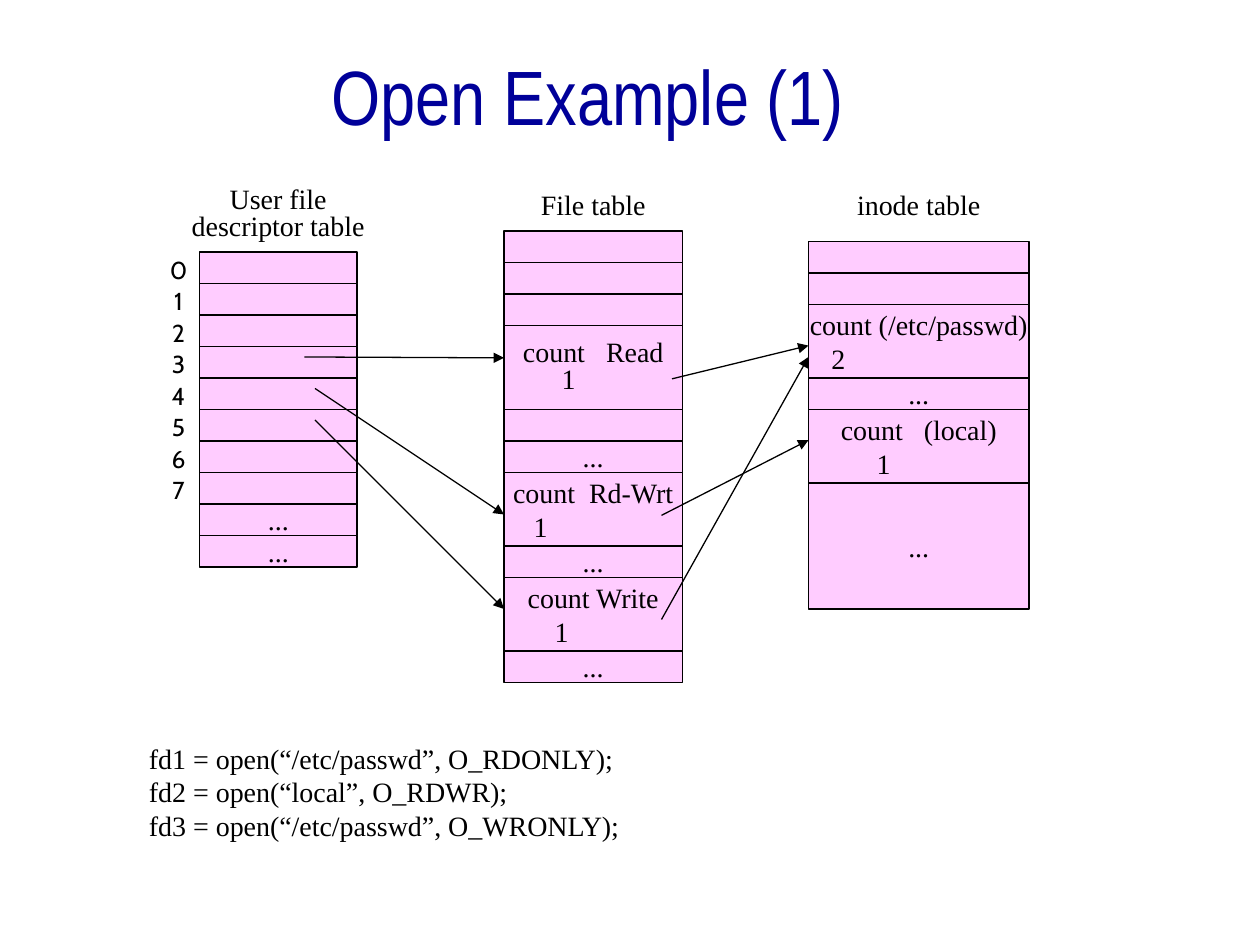
from lxml.etree import SubElement
from pptx import Presentation
from pptx.dml.color import RGBColor
from pptx.enum.shapes import MSO_CONNECTOR, MSO_SHAPE
from pptx.enum.text import MSO_ANCHOR, PP_ALIGN
from pptx.oxml.ns import qn
from pptx.util import Pt

ROW = 18
SERIF = "Times New Roman"

# A line of text is (words, indent, extra gap between its two words);
# indent None means centred.
DOTS = [("...", None, 0)]
TABLES = [
    {"head": ["User file", "descriptor table"], "left": 114, "top": 144,
     "width": 90, "head_size": (114, 30),
     "rows": [(ROW, [])] * 8 + [(ROW, DOTS)] * 2},
    {"head": ["File table"], "left": 288, "top": 132,
     "width": 102, "head_size": (90, 18),
     "rows": [(ROW, [])] * 3 + [
         (48, [("count Read", None, 8), ("1", 33, 0)]),
         (ROW, []),
         (ROW, DOTS),
         (42, [("count Rd-Wrt", None, 4), ("1", 17, 0)]),
         (ROW, DOTS),
         (42, [("count Write", None, 0), ("1", 29, 0)]),
         (ROW, DOTS)]},
    {"head": ["inode table"], "left": 462, "top": 138,
     "width": 126, "head_size": (90, 18),
     "rows": [(ROW, [])] * 2 + [
         (42, [("count (/etc/passwd)", None, 0), ("2", 13, 0)]),
         (ROW, DOTS),
         (42, [("count (local)", None, 8), ("1", 39, 0)]),
         (72, DOTS)]},
]
ARROWS = [
    ((174, 204), (288, 204.5)),
    ((180, 222), (288, 294)),
    ((180, 240), (288, 348)),
    ((384, 216.5), (462, 197.5)),
    ((378, 294.5), (462, 251.5)),
    ((378, 354), (462, 204)),
]
CODE = [
    "fd1 = open(“/etc/passwd”, O_RDONLY);",
    "fd2 = open(“local”, O_RDWR);",
    "fd3 = open(“/etc/passwd”, O_WRONLY);",
]


def color(hexa):
    return RGBColor.from_string(hexa)


def widen(para, gap):
    """Stretch the single space between two words by gap points."""
    first, last = para.text.split(" ")
    para.text = first
    space = para.add_run()
    space.text = " "
    space.font._element.set("spc", str(gap * 100))
    para.add_run().text = last


def write(frame, lines, size=16, font=SERIF, hue="000000", space=1, inset=0,
          anchor=MSO_ANCHOR.MIDDLE):
    frame.word_wrap = True
    frame.vertical_anchor = anchor
    frame.margin_left = frame.margin_right = Pt(inset)
    frame.margin_top = frame.margin_bottom = Pt(inset / 2)
    frame.text = "\n".join(line[0] for line in lines)
    for para, (words, indent, gap) in zip(frame.paragraphs, lines):
        para.alignment = PP_ALIGN.CENTER if indent is None else PP_ALIGN.LEFT
        para.line_spacing = space
        if indent:
            props = para._p.get_or_add_pPr()
            props.set("marL", "0")
            props.set("indent", str(Pt(indent)))
        if gap:
            widen(para, gap)
        for run in para.runs:
            run.font.size = Pt(size)
            run.font.name = font
            run.font.color.rgb = color(hue)


def label(slide, box, lines, **style):
    text = slide.shapes.add_textbox(*map(Pt, box))
    write(text.text_frame, lines, **style)


def cell(slide, box, lines):
    rect = slide.shapes.add_shape(MSO_SHAPE.RECTANGLE, *map(Pt, box))
    rect.shadow.inherit = False
    rect.fill.solid()
    rect.fill.fore_color.rgb = color("FFCCFF")
    rect.line.color.rgb = color("000000")
    rect.line.width = Pt(0.75)
    if lines:
        tight = box[3] == 48
        write(rect.text_frame, lines, space=0.8 if tight else 1)


def arrow(slide, start, end):
    line = slide.shapes.add_connector(
        MSO_CONNECTOR.STRAIGHT, *map(Pt, start + end))
    line.line.color.rgb = color("000000")
    line.line.width = Pt(0.75)
    SubElement(line.line._get_or_add_ln(), qn("a:tailEnd"), type="triangle")
    SubElement(line._element.spPr, qn("a:effectLst"))


def main():
    deck = Presentation()
    deck.slide_width, deck.slide_height = Pt(720), Pt(540)
    slide = deck.slides.add_slide(deck.slide_layouts[6])

    # Title
    label(slide, (30, 18, 612, 72), [("Open Example (1)", None, 0)],
          size=44, font="Arial Narrow", hue="000099", inset=7.2)

    # Tables, each with its heading centred above
    for table in TABLES:
        left, top, width = table["left"], table["top"], table["width"]
        wide, high = table["head_size"]
        head = [(words, None, 0) for words in table["head"]]
        label(slide, (left + (width - wide) / 2, 108, wide, high), head,
              space=0.8 if len(head) > 1 else 1)
        for high, lines in table["rows"]:
            cell(slide, (left, top, width, high), lines)
            top += high

    # Descriptor numbers
    for num in range(8):
        label(slide, (90, 144 + num * ROW, 24, 22.5),
              [(str(num), None, 0)], size=14, font="Cabin", space=0.9,
              inset=7.2, anchor=MSO_ANCHOR.TOP)

    # Links between tables
    for start, end in ARROWS:
        arrow(slide, start, end)

    # Calls that open the files
    label(slide, (78, 420, 285, 65), [(call, 0, 0) for call in CODE],
          inset=7.2, anchor=MSO_ANCHOR.TOP)

    deck.save("out.pptx")


if __name__ == "__main__":
    main()
